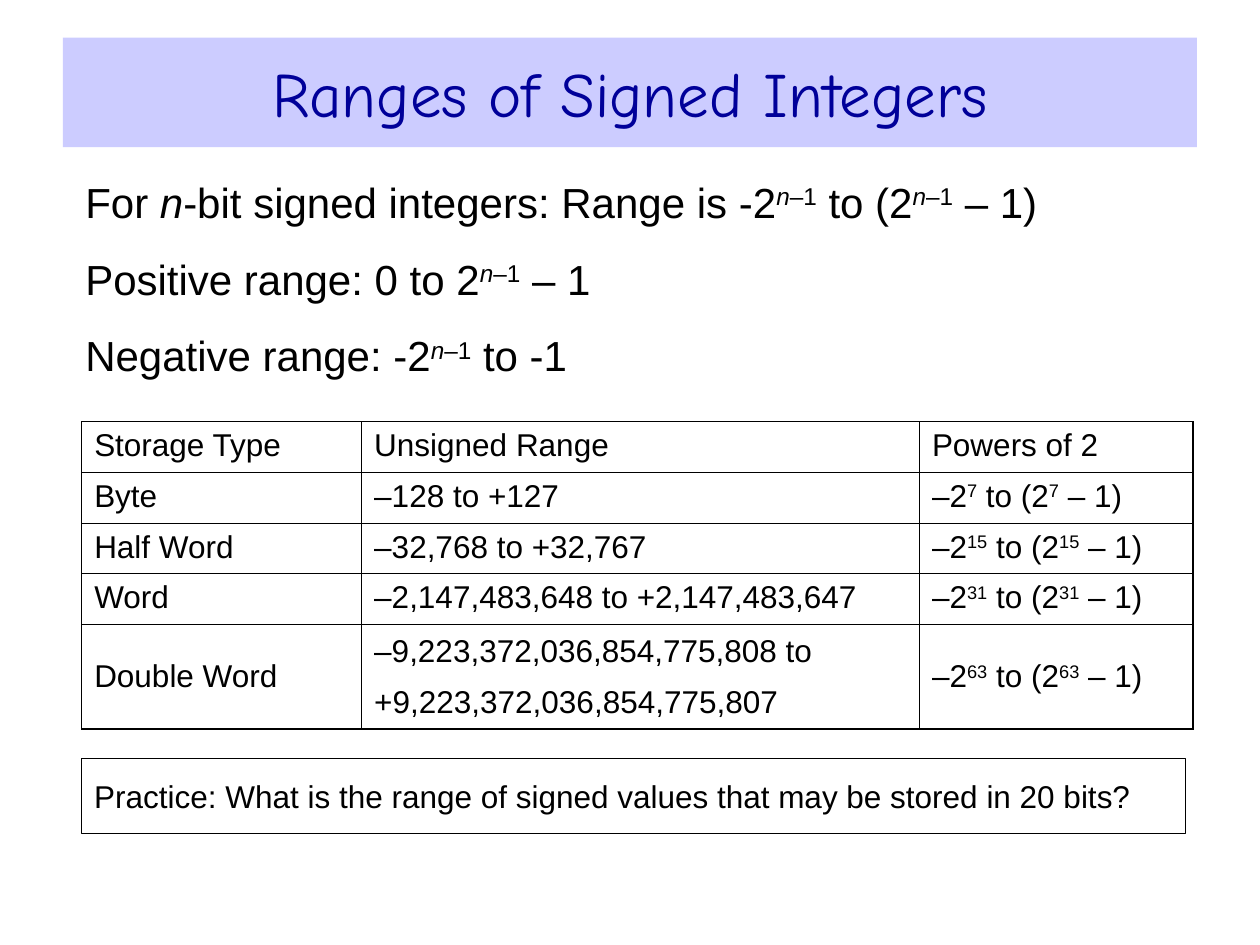
from dataclasses import dataclass

from lxml import etree
from pptx import Presentation
from pptx.dml.color import RGBColor
from pptx.enum.shapes import MSO_SHAPE
from pptx.enum.text import MSO_ANCHOR, PP_ALIGN
from pptx.oxml.ns import qn
from pptx.util import Cm, Pt

RECTANGLE = MSO_SHAPE.RECTANGLE
TOP, MIDDLE = MSO_ANCHOR.TOP, MSO_ANCHOR.MIDDLE
LEFT, CENTER = PP_ALIGN.LEFT, PP_ALIGN.CENTER


@dataclass(frozen=True)
class Theme:
    banner: str = "CCCCFF"
    heading: str = "000099"
    ink: str = "000000"
    heading_font: str = "Comic Neue"
    body_font: str = "Arial"
    heading_size: int = 36
    statement_size: int = 24
    detail_size: int = 18
    border: float = 0.75
    inset_x: float = 0.25
    inset_y: float = 0.38
    cell_inset_y: float = 0.13


@dataclass(frozen=True)
class Box:
    left: float
    top: float
    width: float
    height: float

    def lengths(self):
        return Cm(self.left), Cm(self.top), Cm(self.width), Cm(self.height)


THEME = Theme()

# A run is (text, marks): "i" is italic, "^" is superscript
POWER_N = [("n", "i^"), ("–1", "^")]

STATEMENTS = [
    [("For ", ""), ("n", "i"), ("-bit signed integers: Range is -2", ""), *POWER_N,
     (" to (2", ""), *POWER_N, (" – 1)", "")],
    [("Positive range: 0 to 2", ""), *POWER_N, (" – 1", "")],
    [("Negative range: -2", ""), *POWER_N, (" to -1", "")],
]

HEADER = ["Storage Type", "Unsigned Range", "Powers of 2"]
STORAGE_TYPES = [
    ("Byte", ["–128 to +127"], 7),
    ("Half Word", ["–32,768 to +32,767"], 15),
    ("Word", ["–2,147,483,648 to +2,147,483,647"], 31),
    ("Double Word", ["–9,223,372,036,854,775,808 to", "+9,223,372,036,854,775,807"], 63),
]
COLUMN_SHARES = (0.252, 0.502, 0.246)
ROW_HEIGHT = 1.02


def power_range(exponent):
    power = (str(exponent), "^")
    return [("–2", ""), power, (" to (2", ""), power, (" – 1)", "")]


def write_text(frame, paragraphs, size=THEME.detail_size, font=THEME.body_font,
               color=THEME.ink, align=LEFT, space_before=0):
    """Write paragraphs, each a plain string or a list of (text, marks) runs."""
    for index, content in enumerate(paragraphs):
        paragraph = frame.paragraphs[0] if index == 0 else frame.add_paragraph()
        paragraph.alignment = align
        paragraph.space_before = Pt(space_before)
        runs = [(content, "")] if isinstance(content, str) else content
        for text, marks in runs:
            run = paragraph.add_run()
            run.text = text
            run.font.size = Pt(size)
            run.font.name = font
            run.font.color.rgb = RGBColor.from_string(color)
            run.font.italic = "i" in marks
            if "^" in marks:
                run.font._element.set("baseline", "30000")


def set_insets(target, vertical):
    target.margin_left = target.margin_right = Cm(THEME.inset_x)
    target.margin_top = target.margin_bottom = Cm(vertical)


def add_panel(slide, box, fill=None, line=None, anchor=TOP):
    panel = slide.shapes.add_shape(RECTANGLE, *box.lengths())
    panel.shadow.inherit = False
    if fill:
        panel.fill.solid()
        panel.fill.fore_color.rgb = RGBColor.from_string(fill)
    else:
        panel.fill.background()
    if line:
        panel.line.color.rgb = RGBColor.from_string(line)
        panel.line.width = Pt(THEME.border)
    else:
        panel.line.fill.background()
    frame = panel.text_frame
    frame.word_wrap = True
    frame.vertical_anchor = anchor
    return frame


def set_borders(cell):
    properties = cell._tc.get_or_add_tcPr()
    for position, side in enumerate(("a:lnL", "a:lnR", "a:lnT", "a:lnB")):
        border = etree.Element(qn(side), w=str(Pt(THEME.border)))
        fill = etree.SubElement(border, qn("a:solidFill"))
        etree.SubElement(fill, qn("a:srgbClr"), val=THEME.ink)
        properties.insert(position, border)


def add_heading(slide, box):
    frame = add_panel(slide, box, fill=THEME.banner, anchor=MIDDLE)
    write_text(frame, ["Ranges of Signed Integers"], size=THEME.heading_size,
               font=THEME.heading_font, color=THEME.heading, align=CENTER)


def add_statements(slide, box):
    frame = slide.shapes.add_textbox(*box.lengths()).text_frame
    frame.word_wrap = True
    set_insets(frame, THEME.inset_y)
    write_text(frame, STATEMENTS, size=THEME.statement_size, space_before=15)


def add_range_table(slide, box):
    rows = [[[title] for title in HEADER]]
    rows += [[[name], limits, [power_range(bits)]] for name, limits, bits in STORAGE_TYPES]
    last = len(rows) - 1
    table = slide.shapes.add_table(len(rows), len(HEADER), *box.lengths()).table
    table.first_row = table.horz_banding = False

    for column, share in zip(table.columns, COLUMN_SHARES):
        column.width = Cm(box.width * share)
    for index, row in enumerate(rows):
        # The two-line last row takes the height that is left
        height = box.height - last * ROW_HEIGHT if index == last else ROW_HEIGHT
        table.rows[index].height = Cm(height)
        for cell, paragraphs in zip(table.rows[index].cells, row):
            cell.fill.background()
            cell.vertical_anchor = MIDDLE if index == last else TOP
            set_insets(cell, THEME.cell_inset_y)
            set_borders(cell)
            write_text(cell.text_frame, paragraphs, space_before=9)


def add_practice(slide, box):
    frame = add_panel(slide, box, line=THEME.ink)
    set_insets(frame, THEME.inset_y)
    question = "Practice: What is the range of signed values that may be stored in 20 bits?"
    write_text(frame, [question], space_before=11.2)


def main():
    presentation = Presentation()
    presentation.slide_width, presentation.slide_height = Cm(25.4), Cm(19.05)
    slide = presentation.slides.add_slide(presentation.slide_layouts[6])

    add_heading(slide, Box(1.27, 0.76, 22.86, 2.21))
    add_statements(slide, Box(1.47, 3.18, 22.43, 4.88))
    add_practice(slide, Box(1.65, 15.29, 22.25, 1.52))
    add_range_table(slide, Box(1.65, 8.5, 22.4, 6.15))

    presentation.save("out.pptx")


if __name__ == "__main__":
    main()
